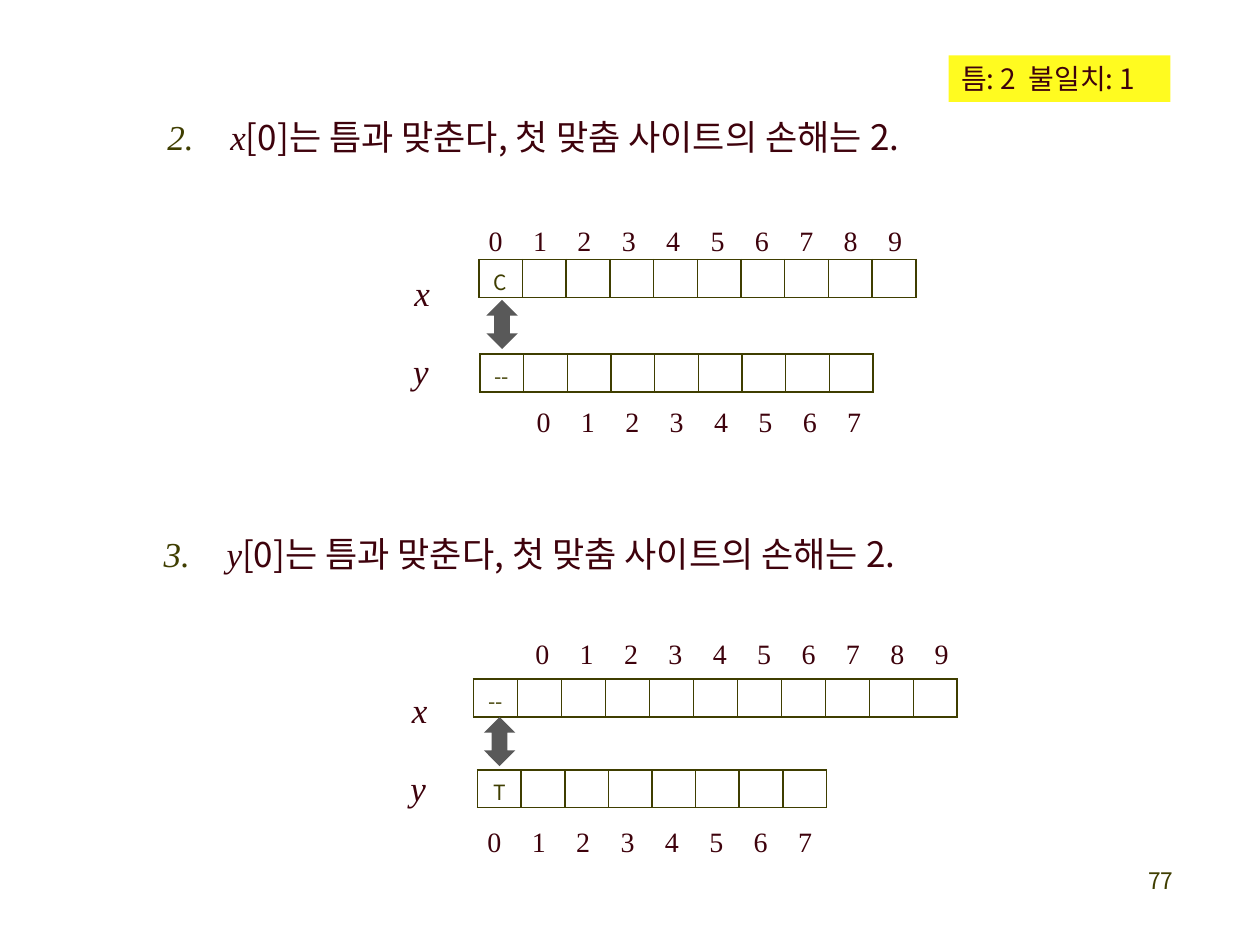
"""Build the slide on aligning x[0] or y[0] with a gap."""
from lxml import etree
from pptx import Presentation
from pptx.dml.color import RGBColor
from pptx.enum.shapes import MSO_SHAPE
from pptx.enum.text import MSO_ANCHOR, PP_ALIGN
from pptx.oxml.ns import qn
from pptx.util import Inches, Pt

ARROW, RECTANGLE = MSO_SHAPE.UP_DOWN_ARROW, MSO_SHAPE.RECTANGLE
LEFT, CENTER, RIGHT = PP_ALIGN.LEFT, PP_ALIGN.CENTER, PP_ALIGN.RIGHT
TOP, MIDDLE = MSO_ANCHOR.TOP, MSO_ANCHOR.MIDDLE
SERIF, SANS = "Times New Roman", "Noto Sans CJK KR"
COLORS = {"text": "3E020C", "olive": "3F3E00", "arrow": "595959", "badge": "FFFB20"}
INDEX_STEP = 3.17 / 9
ROW_HEIGHT = 0.3

STATEMENT = "[0]는 틈과 맞춘다, 첫 맞춤 사이트의 손해는 2."
BADGE = "틈: 2  불일치: 1"
PAGE_NUMBER = "77"
CASES = [
    {
        "number": 2, "subject": "x", "heading": (0.73, 0.75), "arrow": (3.86, 2.38),
        "names": [("x", 3.19, 1.94), ("y", 3.18, 2.56)],
        "strips": [("C", 10, 3.8, 2.06, 3.47), ("--", 9, 3.81, 2.81, 3.12)],
        "indices": [(10, 3.78, 1.59), (8, 4.16, 3.03)],
    },
    {
        "number": 3, "subject": "y", "heading": (0.7, 4.06), "arrow": (3.84, 5.69),
        "names": [("x", 3.17, 5.25), ("y", 3.16, 5.87)],
        "strips": [("--", 11, 3.76, 5.39, 3.84), ("T", 8, 3.79, 6.11, 2.77)],
        "indices": [(10, 4.15, 4.87), (8, 3.77, 6.36)],
    },
]


def color(name):
    return RGBColor.from_string(COLORS[name])


def style_run(run, size, font, color_name="text", italic=False):
    run.font.size = Pt(size)
    run.font.name = font
    run.font.italic = italic
    run.font.color.rgb = color(color_name)
    east_asian = etree.SubElement(run.font._element, qn("a:ea"))
    east_asian.set("typeface", font)


def add_text(slide, text, box, size, font, color_name="text", italic=False,
             spacing=1.5, align=LEFT, wrap=False):
    shape = slide.shapes.add_textbox(*map(Inches, box))
    shape.text_frame.text = text
    shape.text_frame.word_wrap = wrap
    paragraph = shape.text_frame.paragraphs[0]
    paragraph.alignment = align
    paragraph.line_spacing = spacing
    style_run(paragraph.runs[0], size, font, color_name, italic)
    return shape


def add_heading(slide, number, subject, position):
    shape = add_text(slide, subject, (*position, 8.27, 0.61), 20, SERIF,
                     italic=True, wrap=True)
    shape.text_frame.margin_top = 0
    paragraph = shape.text_frame.paragraphs[0]
    run = paragraph.add_run()
    run.text = STATEMENT
    style_run(run, 20, SANS)
    properties = paragraph._p.get_or_add_pPr()
    properties.set("lvl", "1")
    properties.set("marL", str(Inches(1)))
    properties.set("indent", str(Inches(-0.5)))
    bullet_color = etree.SubElement(properties, qn("a:buClr"))
    etree.SubElement(bullet_color, qn("a:srgbClr")).set("val", COLORS["olive"])
    etree.SubElement(properties, qn("a:buFont")).set("typeface", SERIF)
    numbering = etree.SubElement(properties, qn("a:buAutoNum"))
    numbering.set("type", "arabicPeriod")
    numbering.set("startAt", str(number))


def add_border(cell):
    properties = cell._tc.get_or_add_tcPr()
    for position, side in enumerate(("lnL", "lnR", "lnT", "lnB")):
        line = etree.Element(qn(f"a:{side}"), w=str(Pt(1)))
        fill = etree.SubElement(line, qn("a:solidFill"))
        etree.SubElement(fill, qn("a:srgbClr")).set("val", COLORS["olive"])
        properties.insert(position, line)


def add_strip(slide, symbol, count, left, top, width):
    frame = slide.shapes.add_table(1, count, Inches(left), Inches(top),
                                   Inches(width), Inches(ROW_HEIGHT))
    table = frame.table
    table.first_row = table.horz_banding = False
    for index, column in enumerate(table.columns):
        column.width = Inches(width / count)
        cell = table.cell(0, index)
        cell.margin_top, cell.margin_bottom = Inches(0.05), Inches(0.01)
        cell.fill.background()
        add_border(cell)
        paragraph = cell.text_frame.paragraphs[0]
        paragraph.font.size = Pt(12)
        paragraph.alignment = CENTER
        if index == 0:
            paragraph.text = symbol
            style_run(paragraph.runs[0], 12, SANS, "olive")


def add_filled_shape(slide, kind, box, color_name):
    shape = slide.shapes.add_shape(kind, *map(Inches, box))
    shape.shadow.inherit = False
    shape.fill.solid()
    shape.fill.fore_color.rgb = color(color_name)
    shape.line.fill.background()
    return shape


def add_case(slide, case):
    add_heading(slide, case["number"], case["subject"], case["heading"])
    for name, left, top in case["names"]:
        add_text(slide, name, (left, top, 0.33, 0.55), 20, SERIF, italic=True)
    for strip in case["strips"]:
        add_strip(slide, *strip)
    for count, left, top in case["indices"]:
        for index in range(count):
            box = (left + index * INDEX_STEP, top, 0.31, 0.46)
            add_text(slide, str(index), box, 16, SERIF)
    add_filled_shape(slide, ARROW, (*case["arrow"], 0.25, 0.39), "arrow")


def add_badge(slide):
    shape = add_filled_shape(slide, RECTANGLE, (7.53, 0.44, 1.76, 0.37), "badge")
    shape.text_frame.text = BADGE
    shape.text_frame.word_wrap = False
    shape.text_frame.vertical_anchor = MIDDLE
    paragraph = shape.text_frame.paragraphs[0]
    paragraph.alignment = LEFT
    style_run(paragraph.runs[0], 16, SANS)


def main():
    presentation = Presentation()
    presentation.slide_width, presentation.slide_height = Inches(10), Inches(7.5)
    slide = presentation.slides.add_slide(presentation.slide_layouts[6])
    for case in CASES:
        add_case(slide, case)
    add_badge(slide)
    page = add_text(slide, PAGE_NUMBER, (7.33, 6.83, 2.08, 0.5), 13, SANS, "olive",
                    spacing=1.0, align=RIGHT, wrap=True)
    page.text_frame.vertical_anchor = TOP
    presentation.save("out.pptx")


if __name__ == "__main__":
    main()
